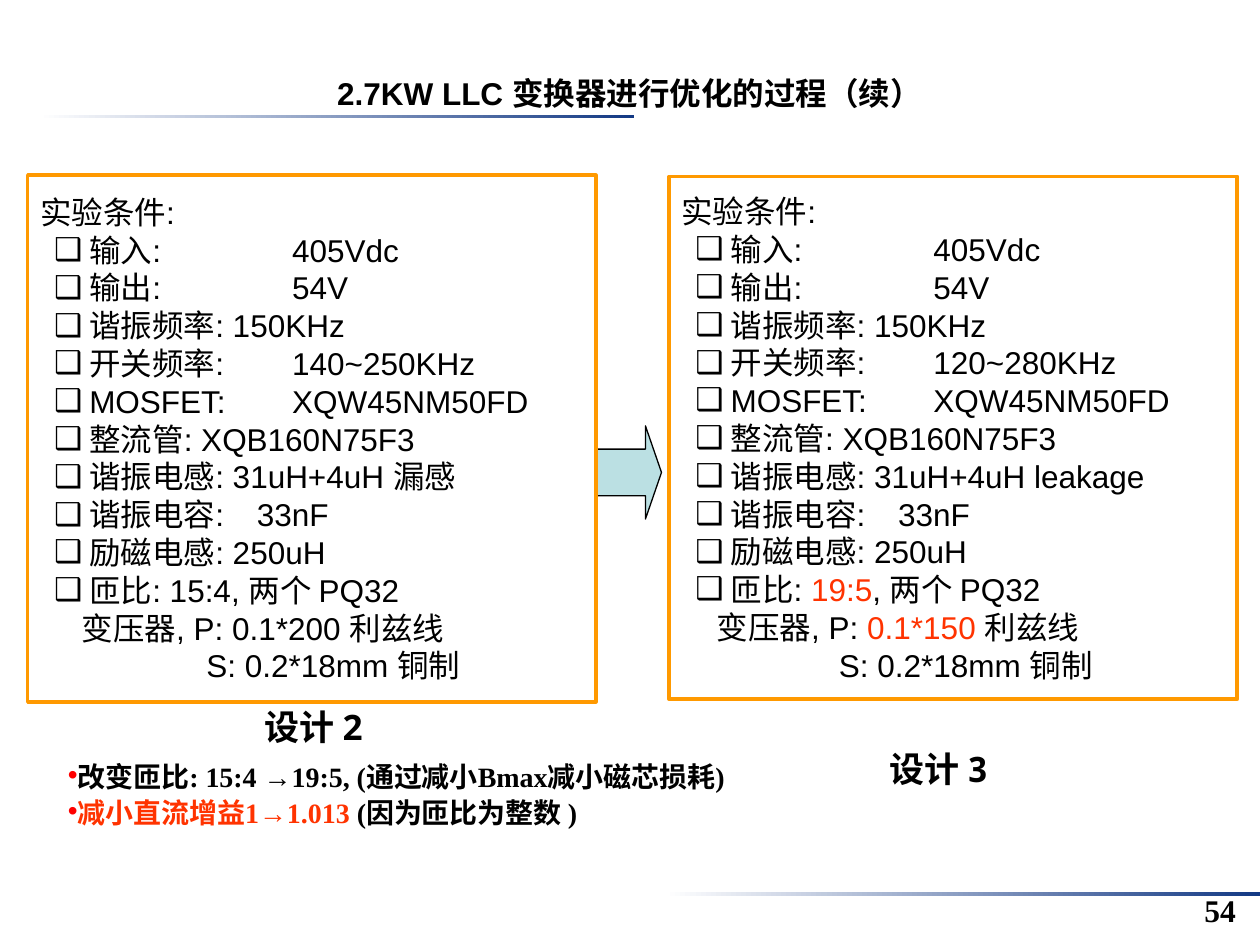
from dataclasses import dataclass
from typing import Optional

from lxml.etree import SubElement
from pptx import Presentation
from pptx.dml.color import RGBColor
from pptx.enum.shapes import MSO_SHAPE
from pptx.enum.text import MSO_ANCHOR, PP_ALIGN
from pptx.oxml.ns import qn
from pptx.util import Inches, Pt


@dataclass(frozen=True)
class Theme:
    black: str = "000000"
    white: str = "FFFFFF"
    navy: str = "133984"
    orange: str = "FF9900"
    red: str = "FF3300"
    bullet_red: str = "FF0000"
    arrow: str = "BBE0E3"
    sans: str = "Arial"
    serif: str = "Times New Roman"
    mono: str = "Noto Sans Mono"
    body: int = 18
    label: int = 20
    note: int = 16


@dataclass(frozen=True)
class Line:
    """One paragraph; text between asterisk-free bars | is highlighted."""
    text: str
    margin: float = 0
    indent: float = 0
    bullet: Optional[str] = None
    bullet_color: str = "000000"
    tab: Optional[float] = None
    spacing: Optional[float] = None
    before: int = 0


@dataclass(frozen=True)
class Panel:
    left: float
    top: float
    height: float
    frequency: str
    inductor: str
    ratio: str
    wire: str
    wire_margin: float
    secondary_margin: float


T = Theme()
PANEL_WIDTH = 4.51
PANELS = [
    Panel(0.22, 1.39, 4.18, "140~250KHz", "漏感", "15:4", "0.1*200 ", 0.33, 1.32),
    Panel(5.31, 1.4, 4.15, "120~280KHz", "leakage", "|19:5|", "|0.1*150 |", 0.28, 1.25),
]
RULES = [(0.31, 0.91), (5.28, 7.08)]
LABELS = [("设计 2", 1.49, 5.55), ("设计 3", 6.45, 5.88)]
NOTES = ["改变匝比: 15:4 →19:5, (通过减小Bmax减小磁芯损耗)",
         "|减小直流增益1→1.013 |(因为匝比为整数 )"]


def rgb(color: str) -> RGBColor:
    return RGBColor.from_string(color)


def format_paragraph(p, line: Line) -> None:
    """Set indents, spacing, bullet and tab stop."""
    if line.spacing:
        p.line_spacing = line.spacing
    if line.before:
        p.space_before = Pt(line.before)
    pPr = p._p.get_or_add_pPr()
    pPr.set("marL", str(Inches(line.margin)))
    pPr.set("indent", str(Inches(line.indent)))
    if line.bullet:
        SubElement(SubElement(pPr, qn("a:buClr")), qn("a:srgbClr"), val=line.bullet_color)
        SubElement(pPr, qn("a:buFont"), typeface=T.sans)
        SubElement(pPr, qn("a:buChar"), char=line.bullet)
    if line.tab:
        tabs = SubElement(pPr, qn("a:tabLst"))
        SubElement(tabs, qn("a:tab"), pos=str(Inches(line.tab)), algn="l")


def write(tf, lines: list[Line], size: int, font: str, bold: bool = False,
          align: PP_ALIGN = PP_ALIGN.LEFT) -> None:
    tf.word_wrap = True
    for i, line in enumerate(lines):
        p = tf.paragraphs[0] if i == 0 else tf.add_paragraph()
        p.alignment = align
        format_paragraph(p, line)
        for j, part in enumerate(line.text.split("|")):
            if part:
                r = p.add_run()
                r.text = part
                for name, value in {"size": Pt(size), "name": font, "bold": bold}.items():
                    setattr(r.font, name, value)
                r.font.color.rgb = rgb(T.red if j % 2 else T.black)


def add_text(s, box: tuple, lines: list[Line], size: int, font: str,
             align: PP_ALIGN = PP_ALIGN.LEFT) -> None:
    sp = s.shapes.add_textbox(*map(Inches, box))
    write(sp.text_frame, lines, size, font, True, align)


def add_box(s, kind: MSO_SHAPE, box: tuple, fill: str,
            line: Optional[str] = None, width: float = 0.75):
    sp = s.shapes.add_shape(kind, *map(Inches, box))
    sp.shadow.inherit = False
    sp.fill.solid()
    sp.fill.fore_color.rgb = rgb(fill)
    if line:
        sp.line.color.rgb = rgb(line)
        sp.line.width = Pt(width)
    else:
        sp.line.fill.background()
    return sp


def add_rule(s, left: float, top: float) -> None:
    """Thin bar that fades in from white to navy."""
    sp = add_box(s, MSO_SHAPE.RECTANGLE, (left, top, 4.72, 0.03), T.navy)
    sp.fill.gradient()
    sp.fill.gradient_angle = 0
    for stop, color, place in zip(sp.fill.gradient_stops, (T.white, T.navy), (0, 1)):
        stop.color.rgb = rgb(color)
        stop.position = place


def condition(text: str, tab: Optional[float] = None) -> Line:
    return Line(text, 0.39, -0.28, "❑", tab=tab)


def add_panel(s, panel: Panel) -> None:
    sp = add_box(s, MSO_SHAPE.RECTANGLE, (panel.left, panel.top, PANEL_WIDTH, panel.height),
                 T.white, T.orange, 2)
    tf = sp.text_frame
    tf.vertical_anchor = MSO_ANCHOR.MIDDLE
    write(tf, [
        Line("实验条件:"),
        condition("输入:\t405Vdc", 2),
        condition("输出:\t54V", 2),
        condition("谐振频率: 150KHz"),
        condition(f"开关频率:\t{panel.frequency}", 2),
        condition("MOSFET:\tXQW45NM50FD", 2),
        condition("整流管: XQB160N75F3"),
        condition(f"谐振电感: 31uH+4uH {panel.inductor}"),
        condition("谐振电容:\t33nF", 1.72),
        condition("励磁电感: 250uH"),
        condition(f"匝比: {panel.ratio}, 两个 PQ32"),
        Line(f"变压器, P: {panel.wire}利兹线", panel.wire_margin),
        Line("S: 0.2*18mm 铜制", panel.secondary_margin),
    ], T.body, T.sans)


def main() -> None:
    prs = Presentation()
    prs.slide_width, prs.slide_height = Inches(10), Inches(7.5)
    s = prs.slides.add_slide(prs.slide_layouts[6])

    for left, top in RULES:
        add_rule(s, left, top)
    add_text(s, (9.46, 7.02, 0.54, 0.4), [Line("54")], T.body, T.serif)

    arrow = add_box(s, MSO_SHAPE.RIGHT_ARROW, (4.74, 3.38, 0.51, 0.74), T.arrow, T.black)
    arrow.adjustments[0], arrow.adjustments[1] = 0.5, 0.25
    for panel in PANELS:
        add_panel(s, panel)
    for text, left, top in LABELS:
        add_text(s, (left, top, 2, 0.44), [Line(text)], T.label, T.mono, PP_ALIGN.CENTER)

    notes = [Line(text, 0, 0.25, "•", T.bullet_red, spacing=0.65, before=8 if i else 0)
             for i, text in enumerate(NOTES)]
    add_text(s, (0.19, 6.06, 9.61, 0.58), notes, T.note, T.serif)
    add_text(s, (1.15, 0.54, 7.69, 0.43), [Line("2.7KW LLC 变换器进行优化的过程（续）")],
             T.body, T.sans, PP_ALIGN.CENTER)
    prs.save("out.pptx")


if __name__ == "__main__":
    main()
